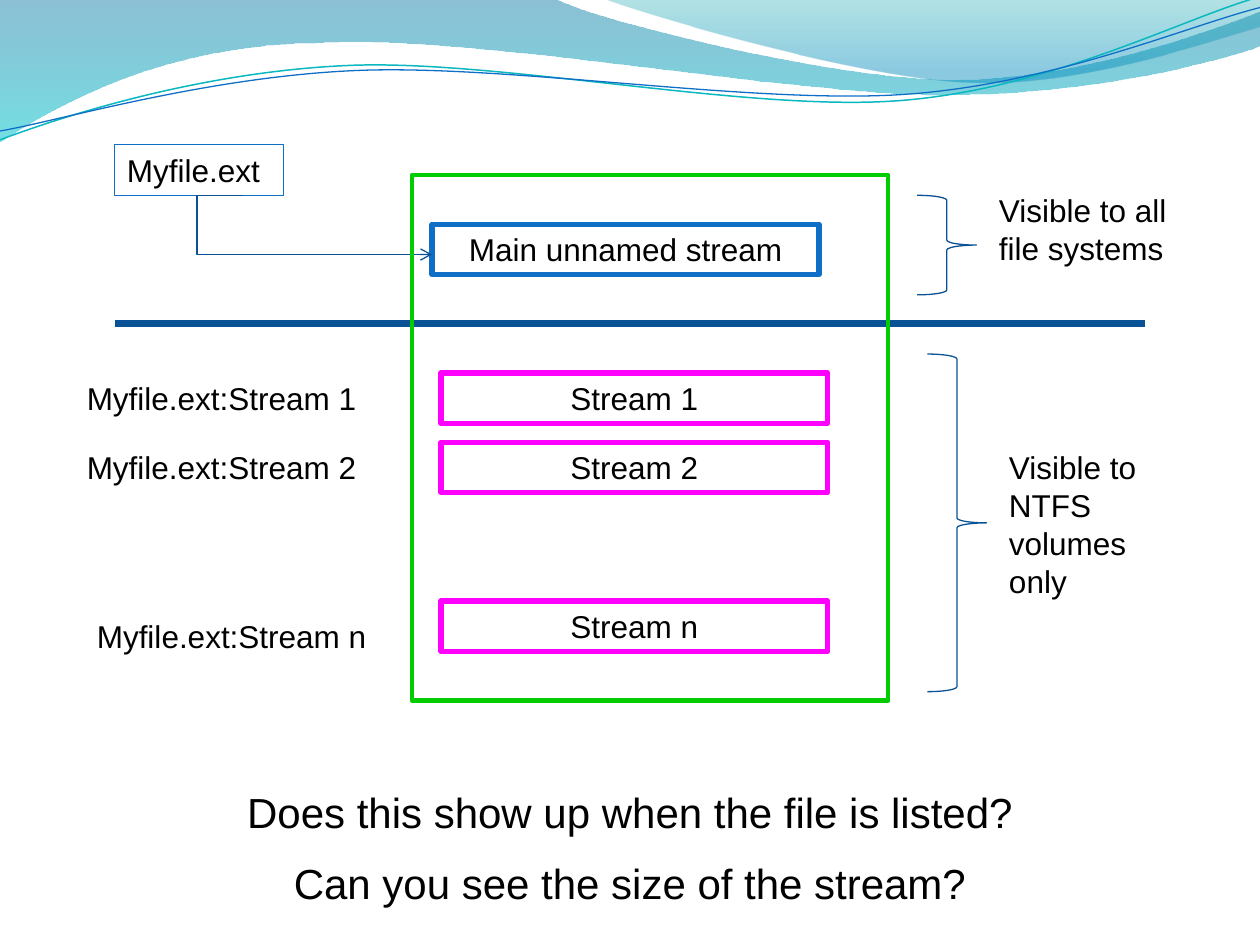
from itertools import chain
from lxml.etree import SubElement
from pptx import Presentation
from pptx.dml.color import RGBColor
from pptx.enum.shapes import MSO_CONNECTOR, MSO_SHAPE
from pptx.enum.text import MSO_ANCHOR, PP_ALIGN
from pptx.oxml.ns import qn
from pptx.util import Inches, Pt

BLACK = RGBColor(0x00, 0x00, 0x00)
BLUE = RGBColor(0x0F, 0x6F, 0xC6)
NAVY = RGBColor(0x09, 0x52, 0x95)
TEAL = RGBColor(0x0A, 0xB8, 0xBF)
MAGENTA = RGBColor(0xFF, 0x00, 0xFF)
GREEN = RGBColor(0x00, 0xCC, 0x00)
DEEP_BLUE = RGBColor(0x00, 0x74, 0xA1)
CYAN = RGBColor(0x00, 0xC6, 0xCF)
SEA = RGBColor(0x00, 0xA1, 0xA9)
SKY = RGBColor(0x00, 0x8B, 0xBF)

FONT = "Arial"
BOX_HEIGHT = 0.4
STREAM_WIDTH = 3.07

BIG_WAVE = [
    [(0, -0.01)], [(4.4, -0.01)],
    [(4.76, 0.17), (6.64, 0.63), (7.58, 0.63)],
    [(8.53, 0.63), (9.58, 0.26), (10, 0.09)],
    [(10.01, 0.36)],
    [(9.83, 0.44), (8.7, 0.76), (7.46, 0.75)],
    [(6.22, 0.75), (3.82, 0.28), (2.57, 0.34)],
    [(1.29, 0.35), (0.46, 0.83), (-0.01, 1.13)],
]
SMALL_WAVE = [
    [(4.79, -0.01)],
    [(5.09, 0.11), (6.82, 0.62), (7.69, 0.65)],
    [(8.56, 0.69), (9.61, 0.32), (10, 0.21)],
    [(10, 0)],
]
TEAL_CURVE = [
    [(0, 1.11)],
    [(0.48, 0.93), (1.58, 0.57), (2.77, 0.52)],
    [(3.95, 0.47), (5.93, 0.89), (7.13, 0.8)],
    [(8.33, 0.71), (9.38, 0.15), (9.98, -0.02)],
]
BLUE_CURVE = [
    [(0, 1.04)],
    [(0.47, 0.96), (1.64, 0.61), (2.83, 0.56)],
    [(4.03, 0.51), (5.97, 0.83), (7.17, 0.75)],
    [(8.36, 0.67), (9.41, 0.21), (10, 0.06)],
]


def bend_segments(shape, segments):
    outline = next(shape._element.iter(qn("a:path")))
    steps = iter(outline.findall(qn("a:lnTo")))
    for segment in segments[1:]:
        group = [next(steps) for _ in segment]
        if len(group) == 3:
            curve = SubElement(outline, qn("a:cubicBezTo"))
            group[0].addprevious(curve)
            for step in group:
                curve.append(step[0])
                outline.remove(step)


def add_outline(page, left, top, segments, close):
    points = [(Inches(left + x), Inches(top + y)) for x, y in chain(*segments)]
    builder = page.shapes.build_freeform(*points[0])
    builder.add_line_segments(points[1:], close=close)
    shape = builder.convert_to_shape()
    bend_segments(shape, segments)
    shape.shadow.inherit = False
    return shape


def add_wave(page, left, top, segments, stops):
    shape = add_outline(page, left, top, segments, True)
    shape.line.fill.background()
    shape.fill.gradient()
    shape.fill.gradient_angle = 270
    for stop, (position, color, _) in zip(shape.fill.gradient_stops, stops):
        stop.position = position
        stop.color.rgb = color
    colors = list(shape._element.spPr.iter(qn("a:srgbClr")))
    for color, (_, _, opacity) in zip(colors, stops):
        SubElement(color, qn("a:alpha")).set("val", str(opacity * 1000))


def add_waves(page, left, top):
    add_wave(page, left, top, BIG_WAVE, [(0, DEEP_BLUE, 45), (1, CYAN, 55)])
    add_wave(page, left, top, SMALL_WAVE, [(0, SEA, 30), (0.8, SKY, 45)])
    for segments, color, width in ((TEAL_CURVE, TEAL, 0.85), (BLUE_CURVE, BLUE, 0.75)):
        curve = add_outline(page, left, top, segments, False)
        curve.fill.background()
        curve.line.color.rgb = color
        curve.line.width = Pt(width)


def write(shape, lines, size=18, align=PP_ALIGN.LEFT, gap=0):
    frame = shape.text_frame
    frame.word_wrap = True
    frame.vertical_anchor = MSO_ANCHOR.TOP
    for index, line in enumerate(lines):
        para = frame.add_paragraph() if index else frame.paragraphs[0]
        para.alignment = align
        if index:
            para.space_before = Pt(gap)
        span = para.add_run()
        span.text = line
        span.font.name = FONT
        span.font.size = Pt(size)
        span.font.color.rgb = BLACK


def add_label(page, left, top, width, height, *lines, **style):
    box = page.shapes.add_textbox(Inches(left), Inches(top), Inches(width), Inches(height))
    write(box, lines, **style)


def add_frame(page, kind, left, top, width, height, color, weight):
    shape = page.shapes.add_shape(
        kind, Inches(left), Inches(top), Inches(width), Inches(height))
    shape.shadow.inherit = False
    shape.fill.background()
    shape.line.color.rgb = color
    shape.line.width = Pt(weight)
    return shape


def add_line(page, kind, start, end, weight):
    line = page.shapes.add_connector(kind, *(Inches(value) for value in (*start, *end)))
    line.line.color.rgb = NAVY
    line.line.width = Pt(weight)
    SubElement(line._element.spPr, qn("a:effectLst"))
    return line


def add_main_stream(page, left, top):
    stream = add_frame(page, MSO_SHAPE.RECTANGLE, left + 2.52, top + 0.63,
                       STREAM_WIDTH, BOX_HEIGHT, BLUE, 3)
    write(stream, ["Main unnamed stream"], align=PP_ALIGN.CENTER)
    file_name = add_frame(page, MSO_SHAPE.RECTANGLE, left, top, 1.34, BOX_HEIGHT, BLUE, 0.75)
    write(file_name, ["Myfile.ext"])
    arrow = add_line(page, MSO_CONNECTOR.ELBOW, (left + 1.02, top + BOX_HEIGHT),
                     (left + 2.52, top + 0.87), 0.75)
    bend = SubElement(arrow._element.spPr.find(qn("a:prstGeom")).find(qn("a:avLst")), qn("a:gd"))
    bend.set("name", "adj1")
    bend.set("fmla", "val -24400")
    SubElement(arrow.line._get_or_add_ln(), qn("a:tailEnd")).set("type", "arrow")
    add_line(page, MSO_CONNECTOR.STRAIGHT, (left, top + 1.42), (left + 8.18, top + 1.42), 4)


def add_named_stream(page, left, top, name, label_left, label_top):
    stream = add_frame(page, MSO_SHAPE.RECTANGLE, left, top,
                       STREAM_WIDTH, BOX_HEIGHT, MAGENTA, 3)
    write(stream, [name], align=PP_ALIGN.CENTER)
    add_label(page, label_left, label_top, 2.52, BOX_HEIGHT, f"Myfile.ext:{name}")


def add_visibility(page, left, top, height, label_top, label_height, text):
    add_frame(page, MSO_SHAPE.RIGHT_BRACE, left, top, 0.47, height, NAVY, 0.75)
    add_label(page, left + 0.55, label_top, 1.57, label_height, text)


def add_questions(page, left, top, width, height):
    add_label(page, left, top, width, height,
              "Does this show up when the file is listed?",
              "Can you see the size of the stream?",
              size=24, align=PP_ALIGN.CENTER, gap=12)


def main():
    deck = Presentation()
    deck.slide_width = Inches(10)
    deck.slide_height = Inches(7.5)
    page = deck.slides.add_slide(deck.slide_layouts[6])
    add_waves(page, 0, 0)
    add_main_stream(page, 0.91, 1.15)
    add_named_stream(page, 3.5, 2.96, "Stream 1", 0.59, 2.96)
    add_named_stream(page, 3.5, 3.51, "Stream 2", 0.59, 3.51)
    add_named_stream(page, 3.5, 4.77, "Stream n", 0.67, 4.85)
    add_frame(page, MSO_SHAPE.RECTANGLE, 3.27, 1.39, 3.78, 4.17, GREEN, 2.5)
    add_visibility(page, 7.28, 1.55, 0.79, 1.47, 0.71, "Visible to all file systems")
    add_visibility(page, 7.36, 2.81, 2.68, 3.51, 1.31, "Visible to NTFS volumes only")
    add_questions(page, 0.67, 6.19, 8.66, 1.11)
    deck.save("out.pptx")


if __name__ == "__main__":
    main()
